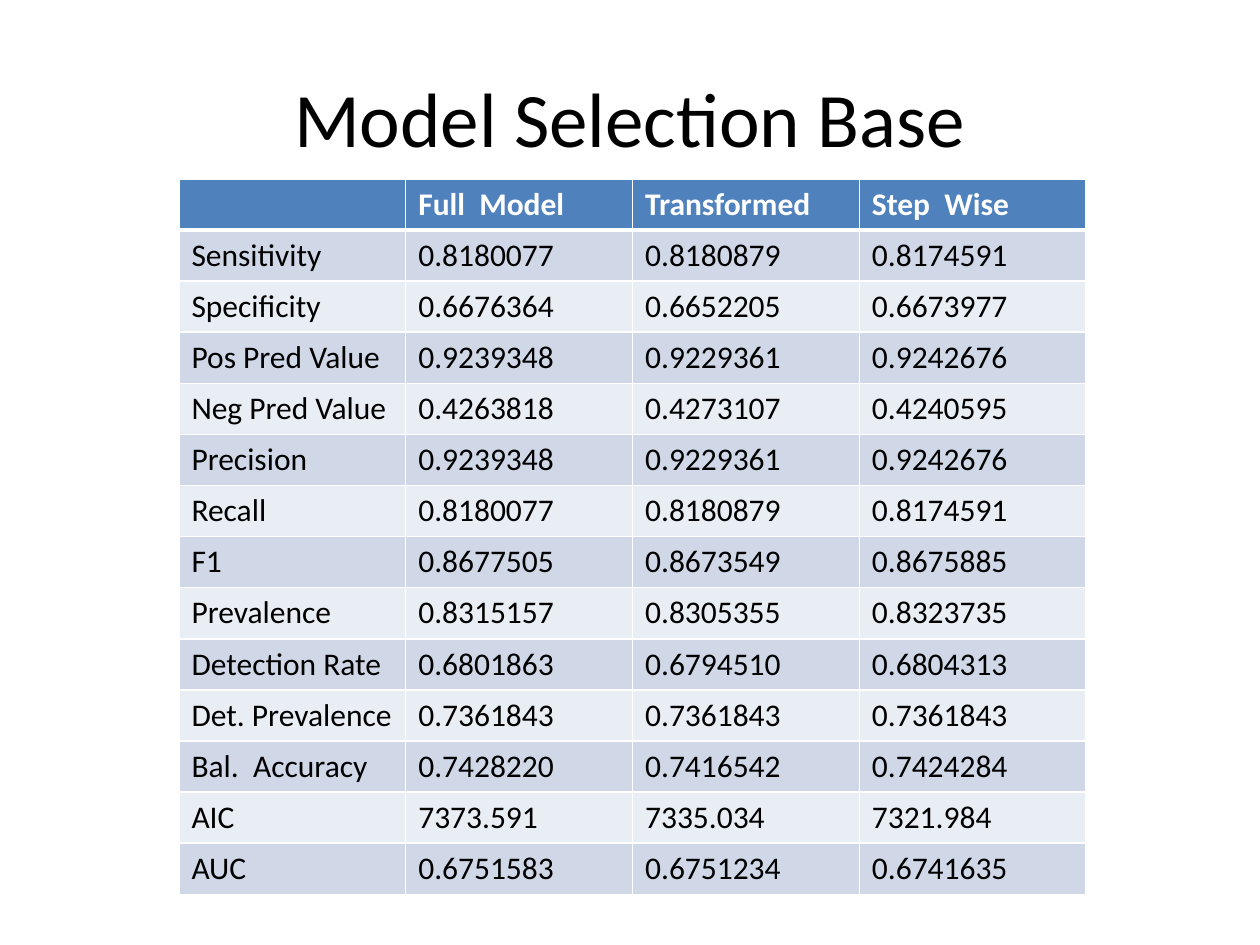
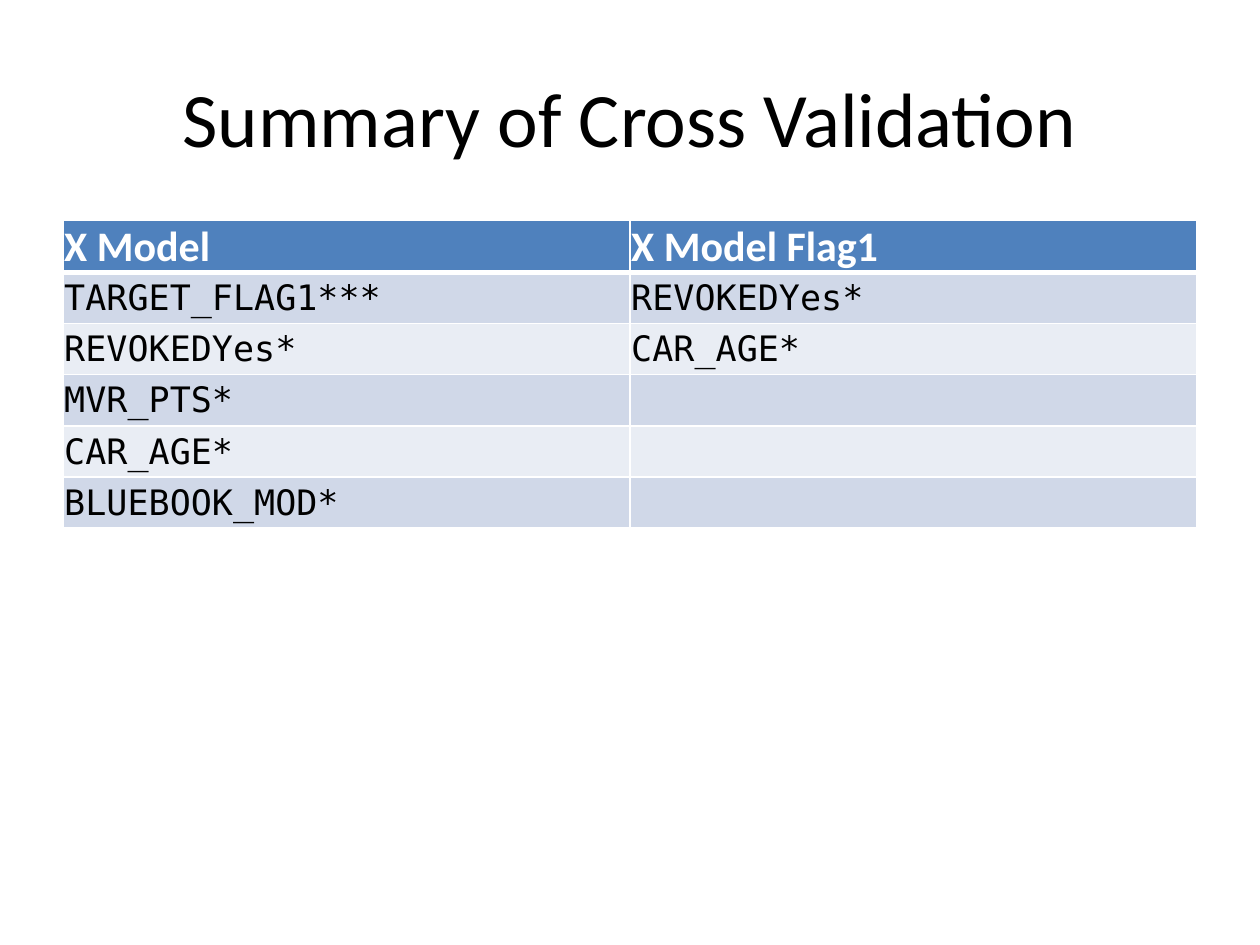
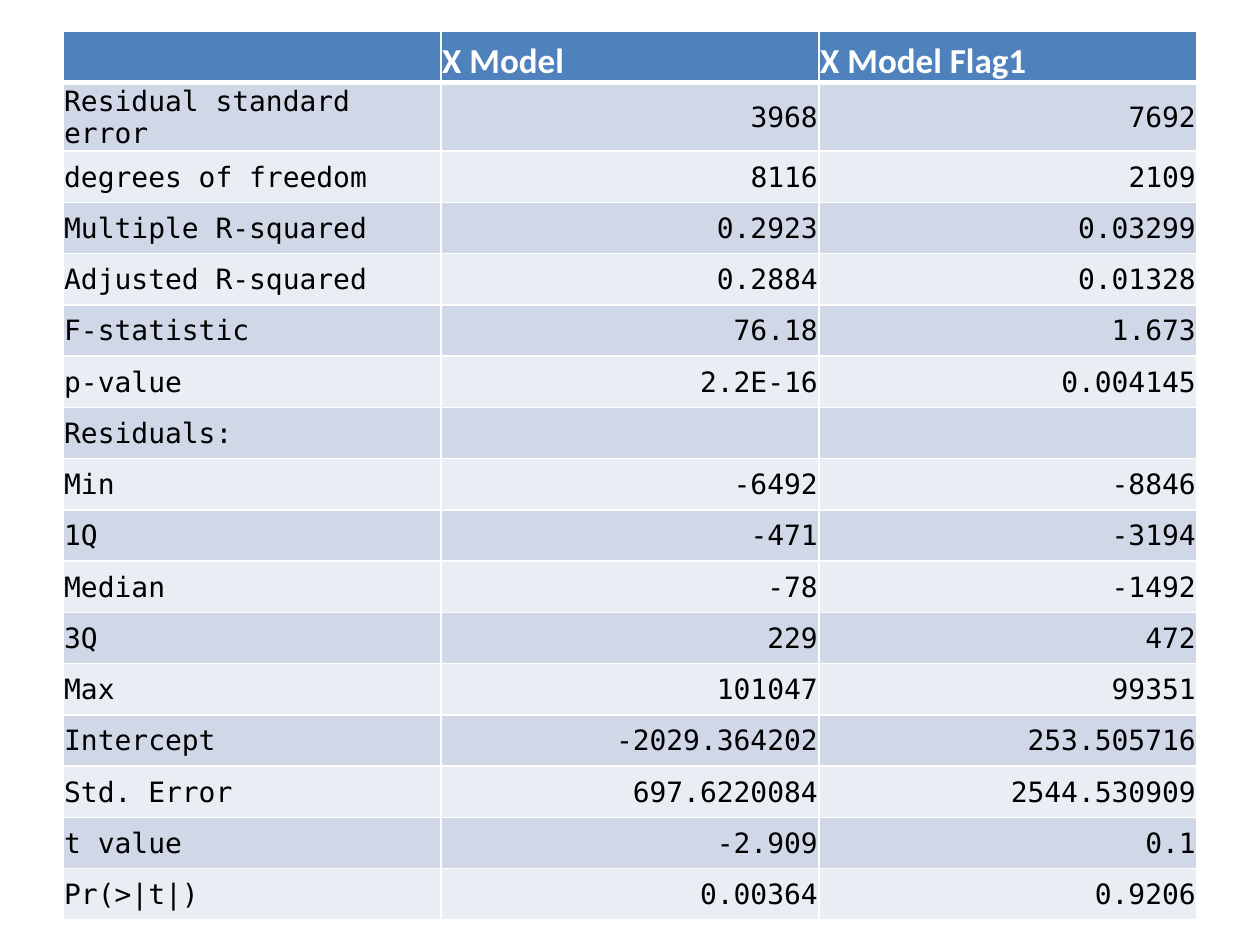
"""Builds three slides that compare model metrics in banded tables."""
import pptx
import pptx.dml.color
import pptx.enum.text
import pptx.oxml
import pptx.oxml.ns
import pptx.util

WIDTH, HEIGHT = 10, 7.5
COLORS = {"header": "4F81BD", "odd": "D0D8E8", "even": "E9EDF4",
          "border": "FFFFFF", "head_text": "FFFFFF", "text": "000000"}
SANS, MONO = "Calibri", "DejaVu Sans Mono"
ALIGN = pptx.enum.text.PP_ALIGN
ANCHOR = pptx.enum.text.MSO_ANCHOR
TITLE_BOX = (0.05 * WIDTH, 0.04 * HEIGHT, 0.9 * WIDTH, 1.25)
TIGHT = (0.01, 0.01, 0.01, 0)
ROOMY = (0.1, 0.05, 0.1, 0.05)

MODEL_ROWS = [
    ("", "Full  Model", "Transformed", "Step  Wise"),
    ("Sensitivity", "0.8180077", "0.8180879", "0.8174591"),
    ("Specificity", "0.6676364", "0.6652205", "0.6673977"),
    ("Pos Pred Value", "0.9239348", "0.9229361", "0.9242676"),
    ("Neg Pred Value", "0.4263818", "0.4273107", "0.4240595"),
    ("Precision", "0.9239348", "0.9229361", "0.9242676"),
    ("Recall", "0.8180077", "0.8180879", "0.8174591"),
    ("F1", "0.8677505", "0.8673549", "0.8675885"),
    ("Prevalence", "0.8315157", "0.8305355", "0.8323735"),
    ("Detection Rate", "0.6801863", "0.6794510", "0.6804313"),
    ("Det. Prevalence", "0.7361843", "0.7361843", "0.7361843"),
    ("Bal.  Accuracy", "0.7428220", "0.7416542", "0.7424284"),
    ("AIC", "7373.591", "7335.034", "7321.984"),
    ("AUC", "0.6751583", "0.6751234", "0.6741635"),
]
VARIABLE_ROWS = [
    ("X Model", "X Model Flag1"),
    ("TARGET_FLAG1***", "REVOKEDYes*"),
    ("REVOKEDYes*", "CAR_AGE*"),
    ("MVR_PTS*", ""),
    ("CAR_AGE*", ""),
    ("BLUEBOOK_MOD*", ""),
]
FIT_ROWS = [
    ("", "X Model", "X Model Flag1"),
    ("Residual standard error", "3968", "7692"),
    ("degrees of freedom", "8116", "2109"),
    ("Multiple R-squared", "0.2923", "0.03299"),
    ("Adjusted R-squared", "0.2884", "0.01328"),
    ("F-statistic", "76.18", "1.673"),
    ("p-value", "2.2E-16", "0.004145"),
    ("Residuals:", "", ""),
    ("Min", "-6492", "-8846"),
    ("1Q", "-471", "-3194"),
    ("Median", "-78", "-1492"),
    ("3Q", "229", "472"),
    ("Max", "101047", "99351"),
    ("Intercept", "-2029.364202", "253.505716"),
    ("Std. Error", "697.6220084", "2544.530909"),
    ("t value", "-2.909", "0.1"),
    ("Pr(>|t|)", "0.00364", "0.9206"),
]
SLIDES = [
    dict(title="Model Selection Base", rows=MODEL_ROWS, box=(1.42, 1.42, 7.2, 5.68),
         head_size=18, size=18, font=SANS, margins=ROOMY,
         head_anchor=ANCHOR.TOP, anchor=ANCHOR.TOP, value_align=ALIGN.LEFT),
    dict(title="Summary of Cross Validation", rows=VARIABLE_ROWS, box=(0.5, 1.75, 9, 2.44),
         head_size=24, size=20, font=MONO, margins=TIGHT,
         head_anchor=ANCHOR.BOTTOM, anchor=ANCHOR.MIDDLE, value_align=ALIGN.LEFT),
    dict(title="", rows=FIT_ROWS, box=(0.5, 0.25, 9, 6.92),
         head_size=20, size=16, font=MONO, margins=TIGHT,
         head_anchor=ANCHOR.BOTTOM, anchor=ANCHOR.MIDDLE, value_align=ALIGN.RIGHT),
]


def inches(values):
    return [pptx.util.Inches(v) for v in values]


def write(tf, text, size=18, font=SANS, color="text", bold=False, align=ALIGN.LEFT):
    p = tf.paragraphs[0]
    p.alignment = align
    r = p.add_run()
    r.text = text
    r.font.size = pptx.util.Pt(size)
    r.font.name = font
    r.font.bold = bold
    r.font.color.rgb = pptx.dml.color.RGBColor.from_string(COLORS[color])


def add_title(s, text):
    tf = s.shapes.add_textbox(*inches(TITLE_BOX)).text_frame
    tf.word_wrap = True
    tf.vertical_anchor = ANCHOR.MIDDLE
    write(tf, text, size=44, align=ALIGN.CENTER)


def set_borders(cell, **widths):
    tc_pr = cell._tc.get_or_add_tcPr()
    for i, side in enumerate("LRTB"):
        tc_pr.insert(i, pptx.oxml.parse_xml(
            f'<a:ln{side} {pptx.oxml.ns.nsdecls("a")} w="{pptx.util.Pt(widths.get(side, 1))}">'
            f'<a:solidFill><a:srgbClr val="{COLORS["border"]}"/></a:solidFill></a:ln{side}>'))


def add_table(s, rows, box, head_size, size, font, margins, head_anchor, anchor, value_align):
    table = s.shapes.add_table(len(rows), len(rows[0]), *inches(box)).table
    for row in table.rows:
        row.height = pptx.util.Inches(box[3] / len(rows))
    for i, texts in enumerate(rows):
        band = "header" if i == 0 else "odd" if i % 2 else "even"
        borders = {0: {"B": 3}, 1: {"T": 3}}.get(i, {})
        for j, text in enumerate(texts):
            cell = table.cell(i, j)
            cell.fill.solid()
            cell.fill.fore_color.rgb = pptx.dml.color.RGBColor.from_string(COLORS[band])
            set_borders(cell, **borders)
            cell.margin_left, cell.margin_top, cell.margin_right, cell.margin_bottom = inches(margins)
            cell.vertical_anchor = anchor if i else head_anchor
            if text and i:
                write(cell.text_frame, text, size=size, font=font,
                      align=value_align if j else ALIGN.LEFT)
            elif text:
                write(cell.text_frame, text, size=head_size, color="head_text", bold=True)


def main():
    prs = pptx.Presentation()
    prs.slide_width, prs.slide_height = inches((WIDTH, HEIGHT))
    for content in SLIDES:
        s = prs.slides.add_slide(prs.slide_layouts[6])
        if content["title"]:
            add_title(s, content["title"])
        add_table(s, **{k: v for k, v in content.items() if k != "title"})
    prs.save("out.pptx")


if __name__ == "__main__":
    main()
